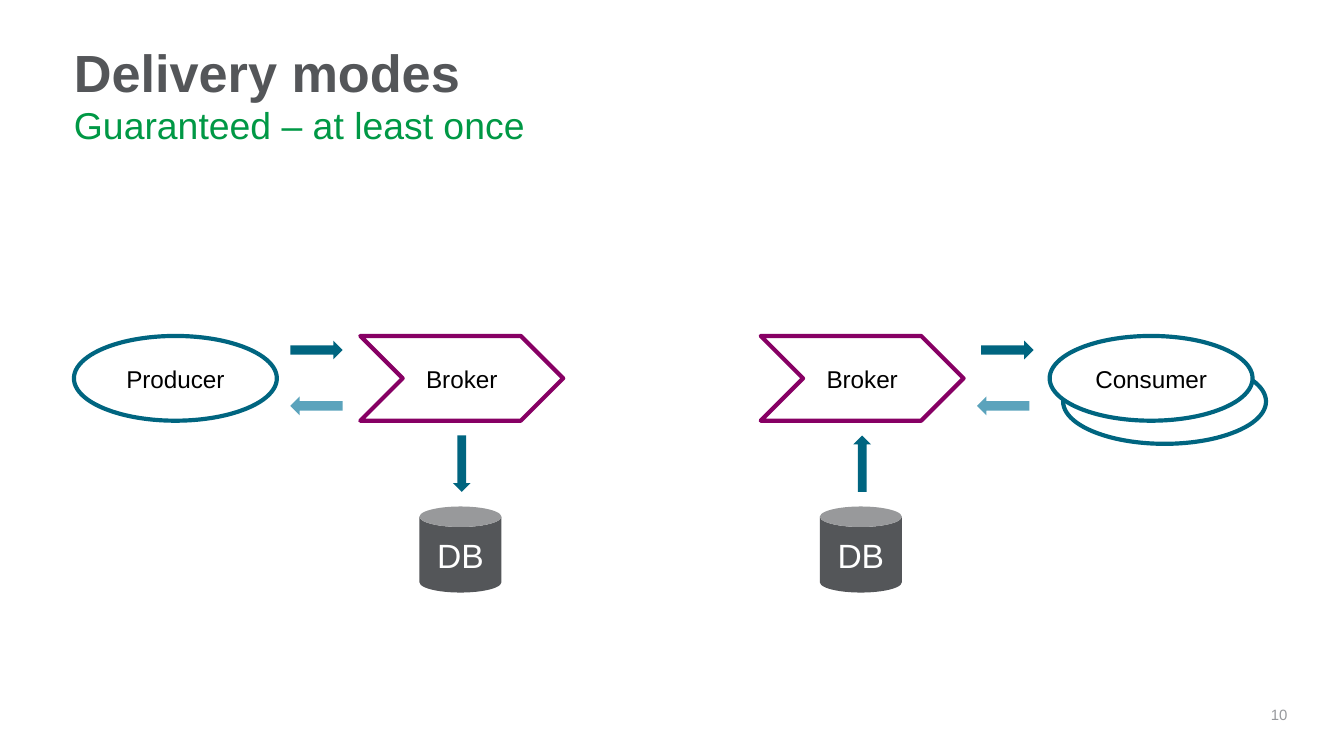
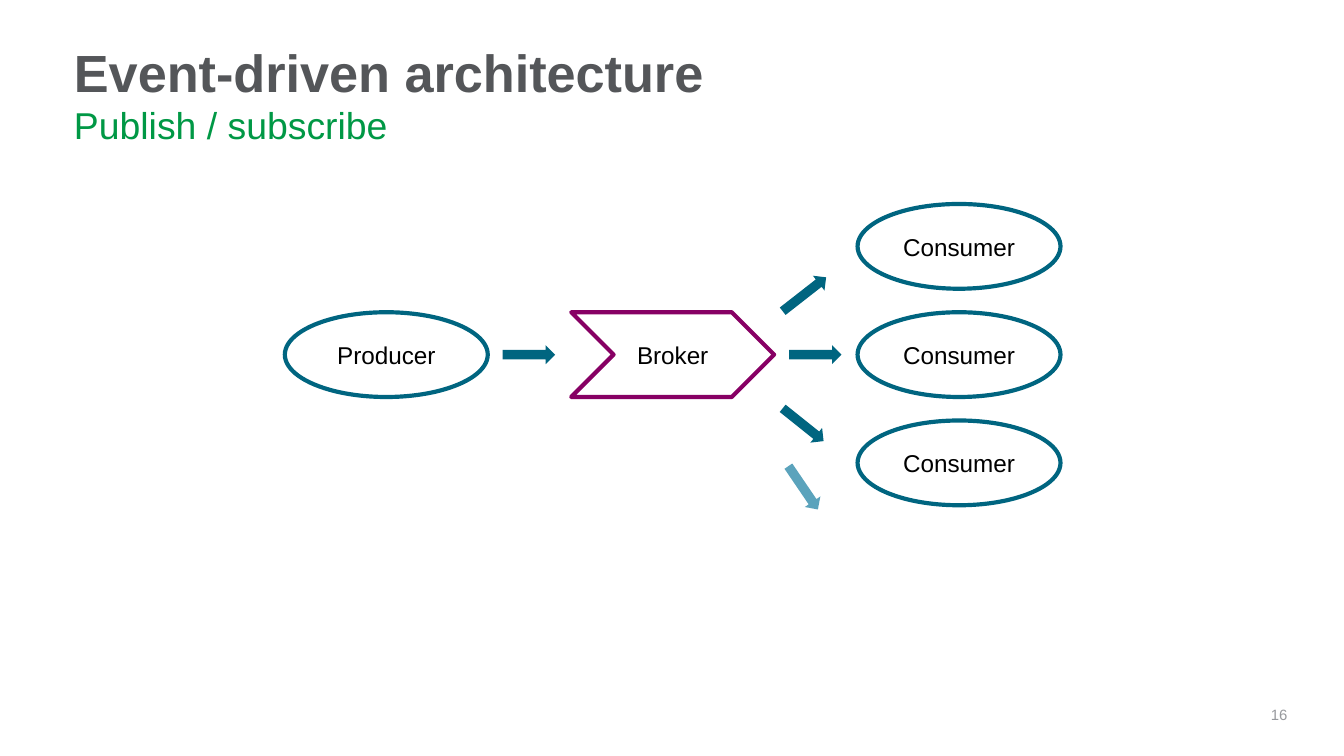
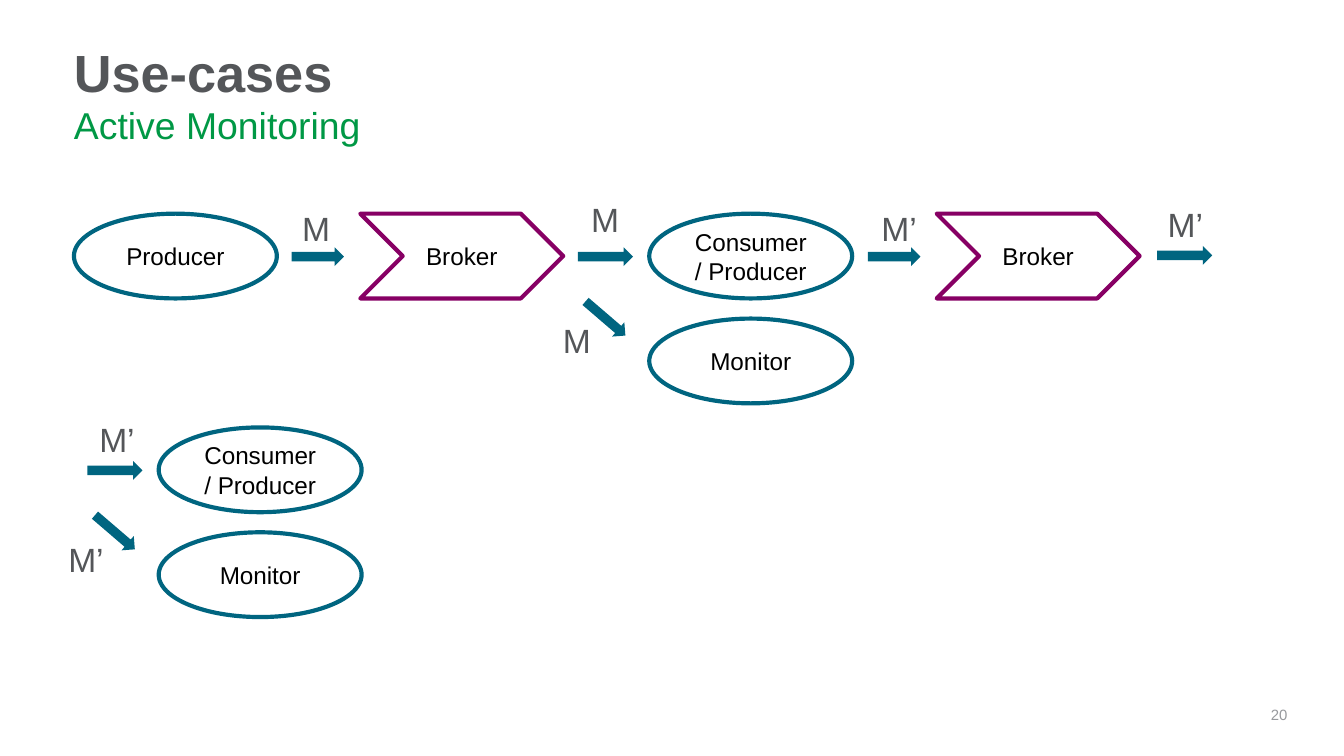
from dataclasses import dataclass

from lxml import etree
from pptx import Presentation
from pptx.dml.color import RGBColor
from pptx.enum.shapes import MSO_SHAPE
from pptx.enum.text import MSO_ANCHOR, MSO_AUTO_SIZE, PP_ALIGN
from pptx.oxml.ns import qn
from pptx.util import Pt

ELLIPSE, CHEVRON, CAN = MSO_SHAPE.OVAL, MSO_SHAPE.CHEVRON, MSO_SHAPE.CAN
RIGHT, DOWN = MSO_SHAPE.RIGHT_ARROW, MSO_SHAPE.DOWN_ARROW
LEFT_ALIGN, CENTER, RIGHT_ALIGN = PP_ALIGN.LEFT, PP_ALIGN.CENTER, PP_ALIGN.RIGHT
TOP, MIDDLE = MSO_ANCHOR.TOP, MSO_ANCHOR.MIDDLE
NO_FIT = MSO_AUTO_SIZE.NONE


@dataclass(frozen=True)
class Theme:
    font: str = "Arial"
    # Colours
    gray: str = "545659"
    pale_gray: str = "97999D"
    green: str = "009845"
    teal: str = "006580"
    light_teal: str = "5BA3BC"
    purple: str = "870064"
    black: str = "000000"
    white: str = "FFFFFF"
    # Type sizes
    title: int = 28
    subtitle: int = 20
    label: int = 18
    node: int = 13
    number: int = 8
    # Sizes of the diagram parts
    outline: float = 2.25
    node_w: float = 108.7
    node_h: float = 45.4
    arrow_w: float = 28.1
    long_arrow_w: float = 29.5
    arrow_h: float = 10.1


T = Theme()


class Deck:
    """Holds the theme and the current slide."""

    def __init__(self):
        self.prs = Presentation()
        self.prs.slide_width, self.prs.slide_height = Pt(720), Pt(405)
        self.s = None

    def fill_text(self, sp, text, size, color, bold=False, align=LEFT_ALIGN,
                  anchor=TOP, insets=(7.2, 3.6, 7.2, 3.6), spacing=None):
        tf = sp.text_frame
        left, top, right, bottom = map(Pt, insets)
        frame = dict(word_wrap=True, auto_size=NO_FIT,
                     vertical_anchor=anchor, margin_left=left, margin_top=top,
                     margin_right=right, margin_bottom=bottom)
        for name, value in frame.items():
            setattr(tf, name, value)
        p = tf.paragraphs[0]
        para = dict(alignment=align, line_spacing=spacing, space_before=Pt(0))
        for name, value in para.items():
            setattr(p, name, value)
        r = p.add_run()
        r.text = text
        for name, value in dict(name=T.font, size=Pt(size), bold=bold).items():
            setattr(r.font, name, value)
        r.font.color.rgb = RGBColor.from_string(color)

    def slide(self, title, subtitle, number):
        self.s = self.prs.slides.add_slide(self.prs.slide_layouts[1])
        head, body = self.s.placeholders
        self.place(head, 39.6, 21.6, 638.6, 31)
        self.fill_text(head, title, T.title, T.gray, bold=True,
                       insets=(0, 3.6, 0, 3.6), spacing=0.9)
        # The subtitle is a body paragraph without bullet or indent
        self.place(body, 39.6, 57.6, 638.6, 19.4)
        pPr = body.text_frame.paragraphs[0]._p.get_or_add_pPr()
        pPr.set("marL", "0")
        pPr.set("indent", "0")
        etree.SubElement(pPr, qn("a:buNone"))
        self.fill_text(body, subtitle, T.subtitle, T.green,
                       insets=(0, 0, 0, 0), spacing=0.9)
        self.text(number, 676, 374.4, 13.7, 18.7, T.number, T.pale_gray,
                  align=RIGHT_ALIGN, insets=(0, 3.6, 0, 3.6))

    def place(self, sp, x, y, w, h):
        for name, value in dict(left=x, top=y, width=w, height=h).items():
            setattr(sp, name, Pt(value))

    def text(self, text, x, y, w, h, size, color, **fmt):
        sp = self.s.shapes.add_textbox(Pt(x), Pt(y), Pt(w), Pt(h))
        self.fill_text(sp, text, size, color, **fmt)

    def shape(self, kind, x, y, w, h, fill=None, line=None, rot=0):
        sp = self.s.shapes.add_shape(kind, Pt(x), Pt(y), Pt(w), Pt(h))
        sp.shadow.inherit = False
        sp.rotation = rot
        if fill:
            sp.fill.solid()
            sp.fill.fore_color.rgb = RGBColor.from_string(fill)
        else:
            sp.fill.background()
        if line:
            sp.line.color.rgb = RGBColor.from_string(line)
            sp.line.width = Pt(T.outline)
        else:
            sp.line.fill.background()
        return sp

    def node(self, kind, line, text, x, y, fill):
        sp = self.shape(kind, x, y, T.node_w, T.node_h, fill, line)
        if text:
            self.fill_text(sp, text, T.node, T.black, align=CENTER, anchor=MIDDLE)

    def client(self, text, x, y, fill=None):
        self.node(ELLIPSE, T.teal, text, x, y, fill)

    def broker(self, x, y):
        self.node(CHEVRON, T.purple, "Broker", x, y, T.white)

    def arrow(self, x, y, rot=0, color=T.teal, w=T.arrow_w):
        self.shape(RIGHT, x, y, w, T.arrow_h, color, rot=rot)

    def database(self, x, y, rot):
        """Database below a broker at x, y, with its vertical arrow."""
        sp = self.shape(CAN, x + 31.7, y + 91.4, 43.9, 46.1, T.gray)
        self.fill_text(sp, "DB", T.label, T.white, align=CENTER, anchor=MIDDLE)
        self.shape(DOWN, x + 49.7, y + 53.3, 9.4, 30.2, T.teal, rot=rot)

    def message(self, text, x, y):
        w = 22.3 if text == "M" else 35.3
        self.text(text, x, y, w, 28.8, T.label, T.gray, insets=(7.2, 3.6, 0, 3.6))

    def monitored(self, x, y):
        """Consumer with a monitor below it, and an arrow into each."""
        self.client("Consumer / Producer", x, y, T.white)
        self.client("Monitor", x, y + 56.2)
        self.arrow(x - 38.2, y + 18, w=T.long_arrow_w)
        self.arrow(x - 37.5, y + 51.1, rot=40.6)


def delivery_modes(d):
    d.slide("Delivery modes", "Guaranteed – at least once", "10")
    y = 180
    d.client("Producer", 39.6, y)
    for x, rot in ((193, 0), (407.5, 180)):
        d.broker(x, y)
        d.database(x, y, rot)
    d.client("", 569.5, y + 12.4)
    d.client("Consumer", 562.3, y, T.white)
    # Messages go forward, acknowledgements come back
    for forward, back in ((155.5, 155.5), (525.6, 523.4)):
        d.arrow(forward, y + 2.5)
        d.arrow(back, y + 32.4, rot=180, color=T.light_teal)


def event_driven(d):
    d.slide("Event-driven architecture", "Publish / subscribe", "16")
    x, y, step, row = 152.6, 167.3, 153.4, 58
    d.client("Producer", x, y)
    d.broker(x + step, y)
    for i in (-1, 0, 1):
        d.client("Consumer", x + 2 * step, y + i * row)
    for i in (0, 1):
        d.arrow(x + 116.7 + i * step, y + 17.7)
    # Slanted arrows fan out from the broker
    d.arrow(416.2, 152.6, rot=322, w=T.long_arrow_w)
    d.arrow(416.2, 222.5, rot=38.7)
    d.arrow(416.2, 256.3, rot=55.8, color=T.light_teal)


def use_cases(d):
    d.slide("Use-cases", "Active Monitoring", "20")
    y = 114.5
    d.client("Producer", 39.6, y)
    for x in (193, 501.8):
        d.broker(x, y)
        d.arrow(x - 36.8, y + 18)
    d.arrow(619.9, y + 17.3, w=T.long_arrow_w)
    for x, top in ((347.8, y), (85, 229)):
        d.monitored(x, top)
    # Message labels
    for text, x, top in (("M", 154.8, 108), ("M", 309.6, 103), ("M", 294.5, 167.8),
                         ("M’", 465.1, 108), ("M’", 46.1, 221),
                         ("M’", 29.5, 285.1), ("M’", 618.5, 105.8)):
        d.message(text, x, top)


def main():
    d = Deck()
    for build in (delivery_modes, event_driven, use_cases):
        build(d)
    d.prs.save("out.pptx")


if __name__ == "__main__":
    main()
